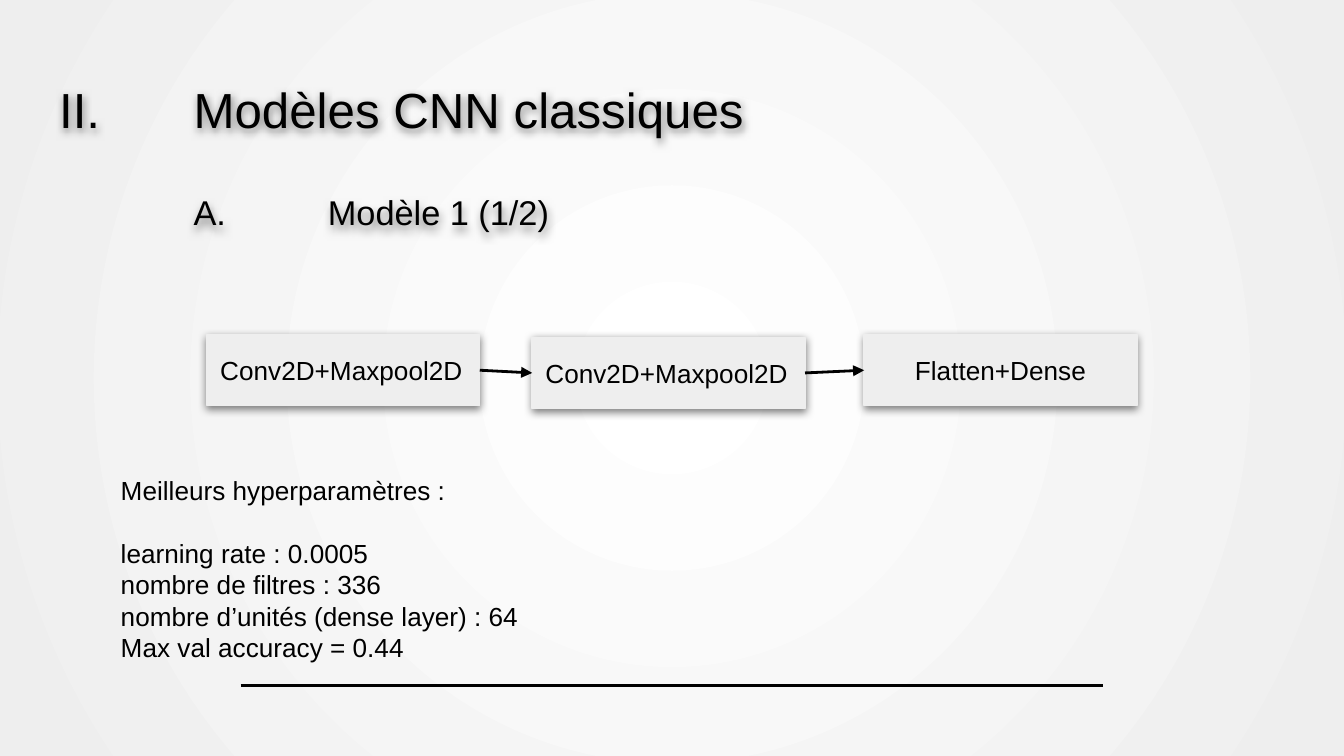
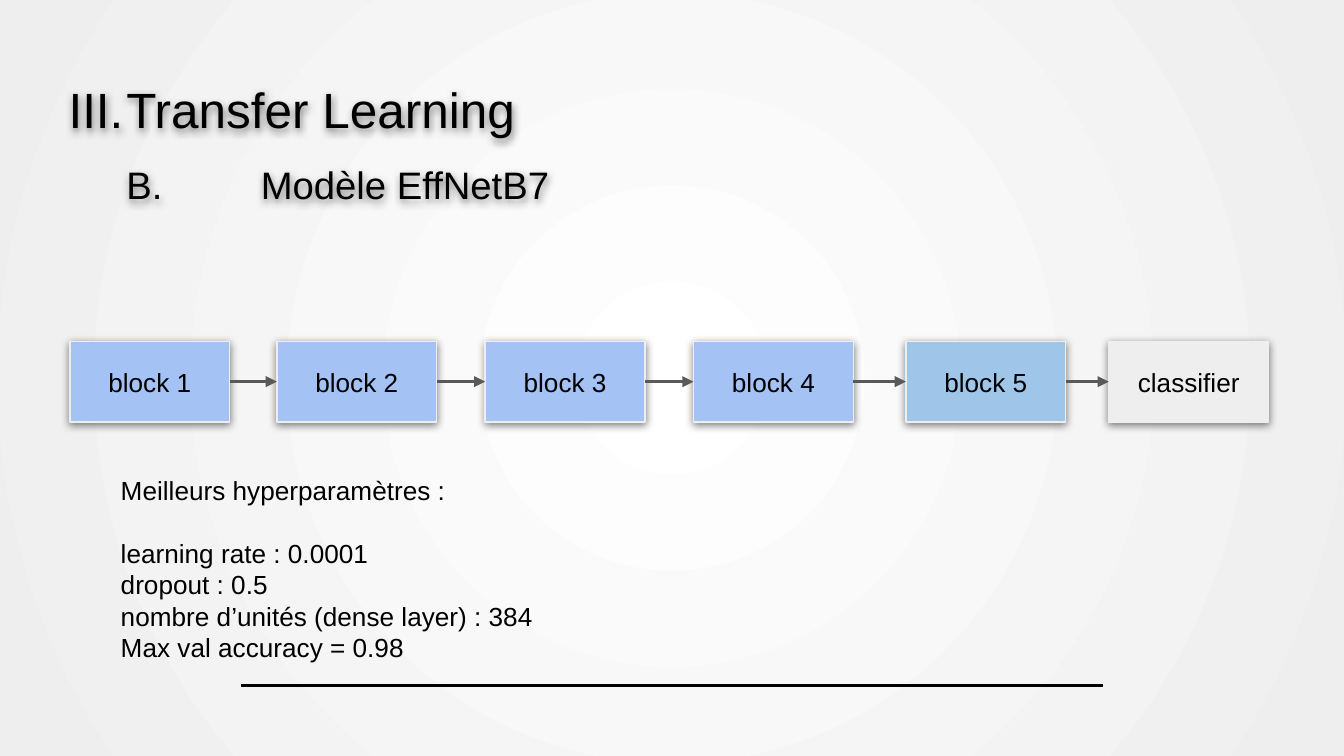
from lxml.etree import SubElement
from pptx import Presentation
from pptx.dml.color import RGBColor
from pptx.enum.shapes import MSO_CONNECTOR, MSO_SHAPE
from pptx.enum.text import MSO_ANCHOR, MSO_AUTO_SIZE, PP_ALIGN
from pptx.oxml.ns import qn
from pptx.util import Inches, Pt

FONT = "Arial"
BLACK, GREY, PALE, WHITE = "000000", "595959", "EEEEEE", "FFFFFF"
BLUE, SKY = "A4C2F4", "9FC5E8"
RIGHT_SITE, LEFT_SITE = 3, 1


def rgb(value):
    return RGBColor.from_string(value)


def format_paragraph(p, size, align=PP_ALIGN.LEFT):
    p.alignment = align
    for r in p.runs:
        r.font.name = FONT
        r.font.size = Pt(size)
        r.font.color.rgb = rgb(BLACK)


def set_insets(tf):
    tf.word_wrap = True
    tf.margin_left = tf.margin_right = Inches(0.1)
    tf.margin_top = tf.margin_bottom = Inches(0.1)


def add_shadow(shape):
    shape.shadow.inherit = False
    effects = shape.element.spPr.find(qn("a:effectLst"))
    shadow = SubElement(effects, qn("a:outerShdw"), blurRad=str(Pt(4.5)),
                        dist=str(Pt(1.5)), dir="5400000", algn="bl",
                        rotWithShape="0")
    color = SubElement(shadow, qn("a:srgbClr"), val=BLACK)
    SubElement(color, qn("a:alpha"), val="50000")


def set_background(master):
    """Radial gradient from the centre, shared by all slides."""
    fill = master.background.fill
    fill.gradient()
    for stop, color, position in zip(fill.gradient_stops, (WHITE, PALE), (0, 1)):
        stop.color.rgb = rgb(color)
        stop.position = position
    grad = master.element.find(".//" + qn("a:gradFill"))
    grad.remove(grad.find(qn("a:lin")))
    circle = SubElement(grad, qn("a:path"), {"path": "circle"})
    SubElement(circle, qn("a:fillToRect"), l="50000", t="50000", r="50000", b="50000")


def add_title(s, heading, subheading, sizes, gap):
    title = s.shapes.title
    title.left, title.top = Inches(0.34), Inches(0.49)
    title.width, title.height = Inches(9.32), Inches(0.63)
    tf = title.text_frame
    tf.text = f"{heading}\n{subheading}"
    set_insets(tf)
    tf.vertical_anchor = MSO_ANCHOR.TOP
    tf.auto_size = MSO_AUTO_SIZE.NONE
    for p, size in zip(tf.paragraphs, sizes):
        format_paragraph(p, size)
        p._p.get_or_add_pPr().set("defTabSz", str(Inches(1)))
    tf.paragraphs[1].space_before = Pt(gap)
    add_shadow(title)
    return tf.paragraphs


def number_heading(heading, subheading, start):
    """Roman numeral on the heading, subheading aligned with its text."""
    for p, indent in ((heading, -0.43), (subheading, 0)):
        pPr = p._p.get_or_add_pPr()
        pPr.set("marL", str(Inches(0.5)))
        pPr.set("indent", str(Inches(indent)))
    pPr = heading._p.pPr
    color = SubElement(pPr, qn("a:buClr"))
    SubElement(color, qn("a:srgbClr"), val=BLACK)
    SubElement(pPr, qn("a:buFont"), typeface=FONT)
    SubElement(pPr, qn("a:buAutoNum"), type="romanUcPeriod", startAt=str(start))


def add_box(s, text, x, y, w, h, fill=PALE, align=PP_ALIGN.CENTER):
    box = s.shapes.add_shape(MSO_SHAPE.RECTANGLE, Inches(x), Inches(y),
                             Inches(w), Inches(h))
    box.fill.solid()
    box.fill.fore_color.rgb = rgb(fill)
    box.line.color.rgb = rgb(PALE)
    box.line.width = Pt(0.75)
    add_shadow(box)
    tf = box.text_frame
    tf.text = text
    set_insets(tf)
    tf.vertical_anchor = MSO_ANCHOR.MIDDLE
    format_paragraph(tf.paragraphs[0], 14, align)
    return box


def add_line(s, color, x1=0, y1=0, x2=0, y2=0):
    line = s.shapes.add_connector(MSO_CONNECTOR.STRAIGHT, Inches(x1), Inches(y1),
                                  Inches(x2), Inches(y2))
    line.line.color.rgb = rgb(color)
    line.line.width = Pt(1.5)
    SubElement(line.element.spPr, qn("a:effectLst"))
    return line


def link_boxes(s, boxes, color):
    for start, end in zip(boxes, boxes[1:]):
        arrow = add_line(s, color)
        arrow.begin_connect(start, RIGHT_SITE)
        arrow.end_connect(end, LEFT_SITE)
        SubElement(arrow.line._get_or_add_ln(), qn("a:tailEnd"), type="triangle")


def add_hyperparameters(s, lines):
    box = s.shapes.add_textbox(Inches(0.8), Inches(3.43), Inches(7.68), Inches(1.85))
    tf = box.text_frame
    tf.text = "\n".join(["Meilleurs hyperparamètres :", *lines])
    set_insets(tf)
    tf.auto_size = MSO_AUTO_SIZE.SHAPE_TO_FIT_TEXT
    for p in tf.paragraphs:
        format_paragraph(p, 14)
    tf.paragraphs[1].space_before = Pt(16.8)


def add_slide(prs):
    """Title-only slide with the rule at the bottom."""
    s = prs.slides.add_slide(prs.slide_layouts[5])
    add_line(s, BLACK, 1.79, 5.1, 8.21, 5.1)
    return s


def add_cnn_slide(prs):
    s = add_slide(prs)
    add_title(s, "II.\tModèles CNN classiques", "\tA.\tModèle 1 (1/2)",
              sizes=(26.4, 18.4), gap=28.5)
    conv = "Conv2D+Maxpool2D"
    layers = [(conv, 1.54, 2.49, PP_ALIGN.LEFT),
              (conv, 3.96, 2.51, PP_ALIGN.LEFT),
              ("Flatten+Dense", 6.43, 2.49, PP_ALIGN.CENTER)]
    boxes = [add_box(s, text, x, y, 2.03, 0.53, align=align)
             for text, x, y, align in layers]
    link_boxes(s, boxes, BLACK)
    add_hyperparameters(s, ["learning rate : 0.0005", "nombre de filtres : 336",
                            "nombre d’unités (dense layer) : 64",
                            "Max val accuracy = 0.44"])


def add_transfer_slide(prs):
    s = add_slide(prs)
    heading, subheading = add_title(s, "Transfer Learning", "B.\tModèle EffNetB7",
                                    sizes=(26.5, 20.5), gap=12)
    number_heading(heading, subheading, start=3)
    blocks = [("block 1", 0.52, BLUE), ("block 2", 2.06, BLUE),
              ("block 3", 3.61, BLUE), ("block 4", 5.16, BLUE),
              ("block 5", 6.74, SKY), ("classifier", 8.25, PALE)]
    boxes = [add_box(s, text, x, 2.54, 1.19, 0.6, fill) for text, x, fill in blocks]
    link_boxes(s, boxes, GREY)
    add_hyperparameters(s, ["learning rate : 0.0001", "dropout : 0.5",
                            "nombre d’unités (dense layer) : 384",
                            "Max val accuracy = 0.98"])


def main():
    prs = Presentation()
    prs.slide_width = Inches(10)
    prs.slide_height = prs.slide_width * 9 // 16
    set_background(prs.slide_master)
    add_cnn_slide(prs)
    add_transfer_slide(prs)
    prs.save("out.pptx")


if __name__ == "__main__":
    main()
